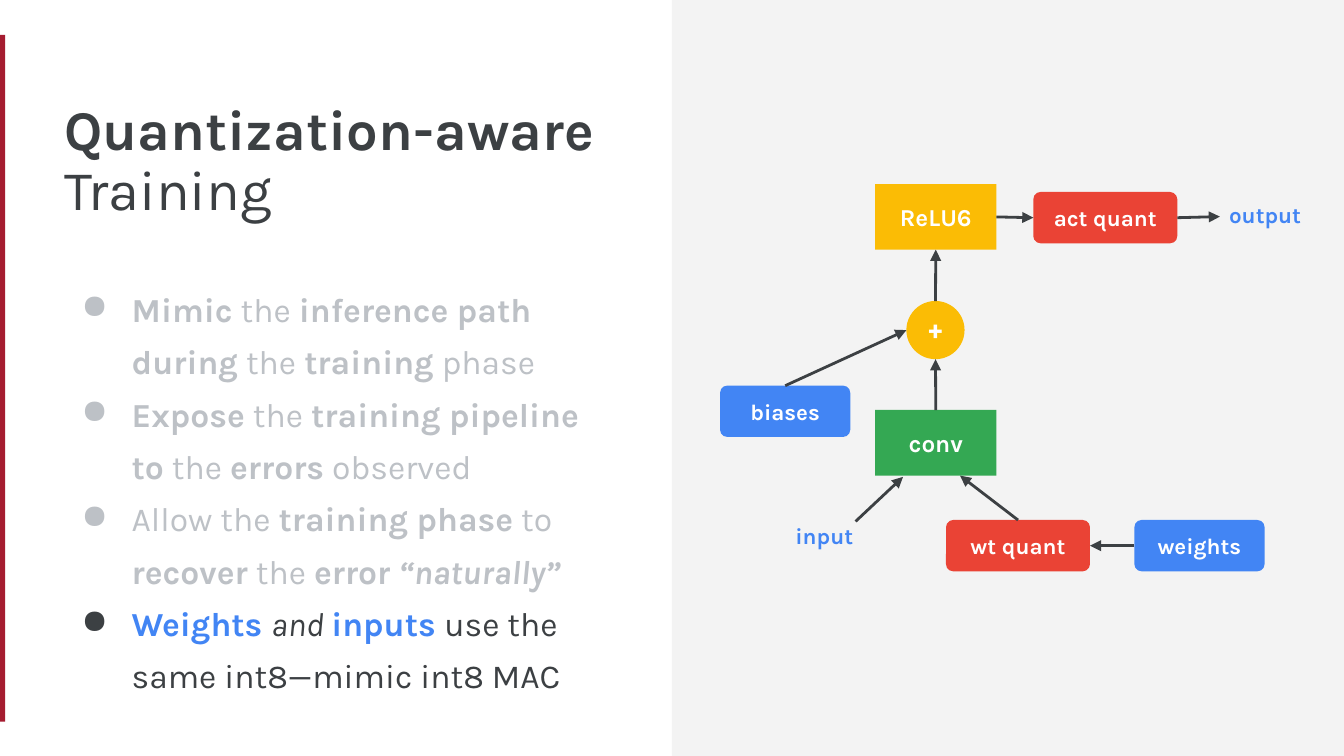
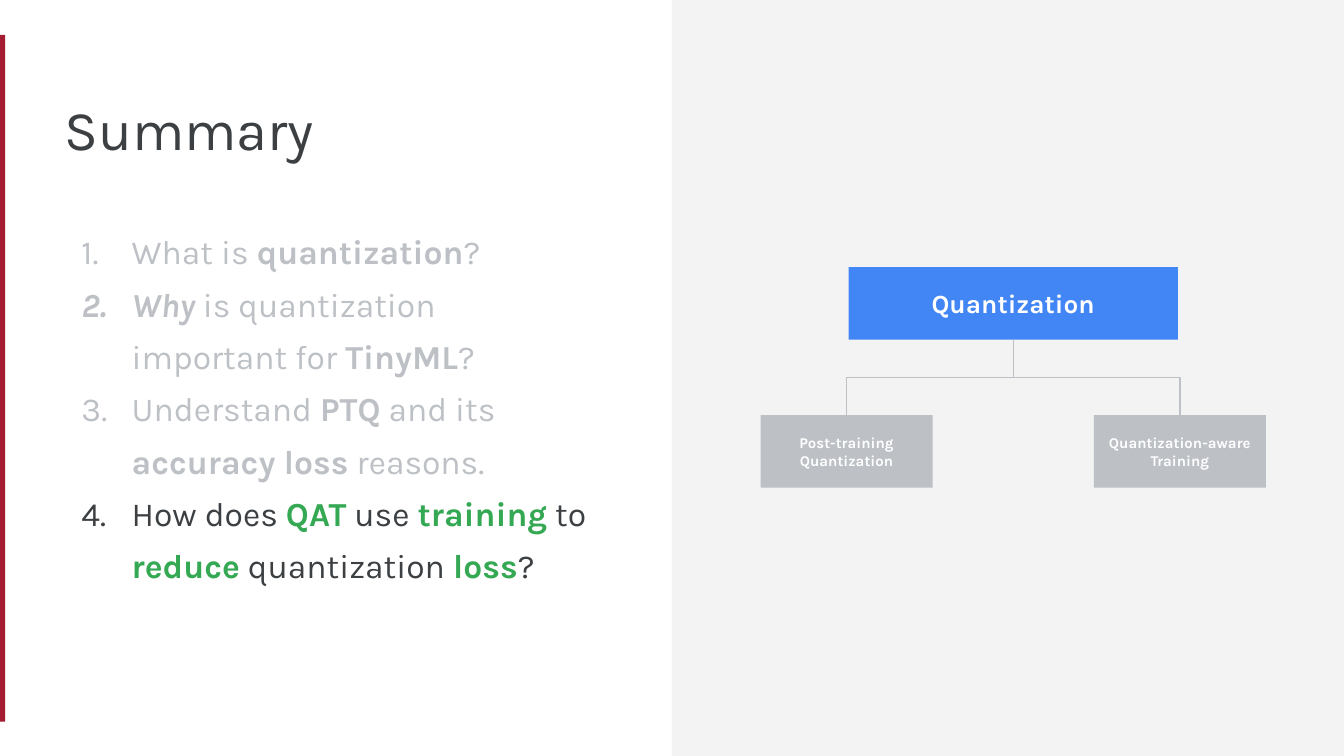
from dataclasses import dataclass

from lxml.etree import SubElement
from pptx import Presentation
from pptx.dml.color import RGBColor
from pptx.enum.shapes import MSO_CONNECTOR as Line, MSO_SHAPE as Shape
from pptx.enum.text import MSO_ANCHOR as Anchor, PP_ALIGN as Align
from pptx.oxml.ns import qn
from pptx.util import Cm, Pt


@dataclass(frozen=True)
class Theme:
    # Colours
    page: str = "F1F3F4"
    white: str = "FFFFFF"
    panel: str = "F3F3F3"
    crimson: str = "A51C30"
    ink: str = "3C4043"
    faded: str = "BDC1C6"
    blue: str = "4285F4"
    green: str = "34A853"
    yellow: str = "FBBC05"
    red: str = "EA4335"
    # Type
    font: str = "Karla"
    symbol_font: str = "Roboto"
    title: int = 30
    body: int = 18
    root: int = 14
    operation: int = 13
    tensor: int = 12
    leaf: int = 8


THEME = Theme()
BOLD = {"bold": True}
ITALIC = {"italic": True}
BLUE = {"bold": True, "color": THEME.blue}
GREEN = {"bold": True, "color": THEME.green}

# Each point is its base colour, then its runs: plain text or (text, format)
TRAINING_POINTS = [
    (THEME.faded, [("Mimic", BOLD), " the ", ("inference path during", BOLD),
                   " the ", ("training", BOLD), " phase"]),
    (THEME.faded, [("Expose", BOLD), " the ", ("training pipeline to", BOLD),
                   " the ", ("errors", BOLD), " observed"]),
    (THEME.faded, ["Allow the ", ("training phase", BOLD), " to ",
                   ("recover", BOLD), " the ", ("error ", BOLD),
                   ("“naturally”", BOLD | ITALIC)]),
    (THEME.ink, [("Weights ", BLUE), ("and ", ITALIC), ("inputs ", BLUE),
                 "use the same int8—mimic int8 MAC"]),
]
SUMMARY_POINTS = [
    (THEME.faded, ["What is ", ("quantization", BOLD), "?"]),
    (THEME.faded, [("Why", BOLD | ITALIC), " is quantization \nimportant for ",
                   ("TinyML", BOLD), "?"]),
    (THEME.faded, ["Understand ", ("PTQ", BOLD), " and its ",
                   ("accuracy loss", BOLD), " reasons."]),
    (THEME.ink, ["How does ", ("QAT", GREEN), " use ", ("training", GREEN),
                 " to ", ("reduce", GREEN), " quantization ",
                 ("loss", GREEN), "?"]),
]


def rgb(color):
    return RGBColor.from_string(color)


# Text

def set_frame(frame, anchor, wrap=True):
    settings = {"word_wrap": wrap, "vertical_anchor": anchor}
    for side in ("left", "right", "top", "bottom"):
        settings[f"margin_{side}"] = Cm(0.25)
    for key, value in settings.items():
        setattr(frame, key, value)


def write_runs(paragraph, runs, size, color, font=THEME.font):
    for item in runs:
        text, extra = (item, {}) if isinstance(item, str) else item
        values = {"name": font, "size": Pt(size), "bold": False,
                  "italic": False, "color": color} | extra
        run_color = values.pop("color")
        for index, piece in enumerate(text.split("\n")):
            if index:
                paragraph.add_line_break()
            run = paragraph.add_run()
            run.text = piece
            run.font.color.rgb = rgb(run_color)
            for key, value in values.items():
                setattr(run.font, key, value)


def add_text_box(slide, left, top, width, height, anchor=Anchor.TOP, wrap=True):
    box = slide.shapes.add_textbox(Cm(left), Cm(top), Cm(width), Cm(height))
    set_frame(box.text_frame, anchor, wrap)
    return box


def add_title(slide, runs):
    title = add_text_box(slide, 0.97, 1.68, 11.02, 2.97)
    paragraph = title.text_frame.paragraphs[0]
    paragraph.line_spacing = 0.9
    write_runs(paragraph, runs, THEME.title, THEME.ink)


def set_marker(paragraph, color, numbered):
    paragraph.line_spacing = 1.3
    properties = paragraph._p.get_or_add_pPr()
    properties.set("marL", str(Cm(1.27)))
    properties.set("indent", str(Cm(-0.95)))
    marker_color = SubElement(properties, qn("a:buClr"))
    SubElement(marker_color, qn("a:srgbClr"), val=color)
    if numbered:
        SubElement(properties, qn("a:buAutoNum"), type="arabicPeriod")
    else:
        SubElement(properties, qn("a:buChar"), char="●")


def add_points(slide, points, top, width, height, numbered=False):
    frame = add_text_box(slide, 0.97, top, width, height).text_frame
    for index, (color, runs) in enumerate(points):
        paragraph = frame.add_paragraph() if index else frame.paragraphs[0]
        set_marker(paragraph, color, numbered)
        write_runs(paragraph, runs, THEME.body, color)


# Diagram parts

def add_block(slide, kind, left, top, width, height, fill):
    block = slide.shapes.add_shape(kind, Cm(left), Cm(top), Cm(width), Cm(height))
    block.shadow.inherit = False
    block.fill.solid()
    block.fill.fore_color.rgb = rgb(fill)
    block.line.fill.background()
    return block


def write_centred(shape, text, size, color=THEME.white, font=THEME.font):
    paragraph = shape.text_frame.paragraphs[0]
    paragraph.alignment = Align.CENTER
    write_runs(paragraph, [(text, BOLD)], size, color, font)


def add_node(slide, text, kind, box, fill, size, font=THEME.font, rounding=None):
    node = add_block(slide, kind, *box, fill)
    if rounding is not None:
        node.adjustments[0] = rounding
    set_frame(node.text_frame, Anchor.MIDDLE)
    write_centred(node, text, size, font=font)
    return node


def add_operation(slide, text, top, fill):
    return add_node(slide, text, Shape.RECTANGLE, (16.54, top, 2.29, 1.24),
                    fill, THEME.operation)


def add_tensor(slide, text, left, top, width, fill):
    return add_node(slide, text, Shape.ROUNDED_RECTANGLE,
                    (left, top, width, 0.97), fill, THEME.tensor, rounding=0.14)


def add_tree_node(slide, text, centre, top, width, fill, size):
    return add_node(slide, text, Shape.ROUNDED_RECTANGLE,
                    (centre - width / 2, top, width, 1.37), fill, size, rounding=0)


def add_label(slide, text, left, top):
    label = add_text_box(slide, left, top, 1.9, 0.79, Anchor.MIDDLE, wrap=False)
    write_centred(label, text, THEME.tensor, THEME.blue)
    return label


# Connectors

def point_on(shape, across, down):
    return (int(shape.left + shape.width * across),
            int(shape.top + shape.height * down))


def add_line(slide, kind, start, end, color, weight):
    line = slide.shapes.add_connector(kind, *start, *end)
    line.line.color.rgb = rgb(color)
    line.line.width = Pt(weight)
    SubElement(line._element.spPr, qn("a:effectLst"))
    return line


def add_arrow(slide, source, source_side, target, target_side):
    arrow = add_line(slide, Line.STRAIGHT, point_on(source, *source_side),
                     point_on(target, *target_side), THEME.ink, 1.5)
    SubElement(arrow.line._get_or_add_ln(), qn("a:tailEnd"), type="triangle")


def add_branch(slide, parent, child):
    """Elbow that leaves the parent downwards: a quarter-turned connector."""
    x1, y1 = point_on(parent, 0.5, 1)
    x2, y2 = point_on(child, 0.5, 0)
    middle_x, middle_y = (x1 + x2) // 2, (y1 + y2) // 2
    reach, drop = abs(x2 - x1) // 2, (y2 - y1) // 2
    turn, side = (90, -drop) if x2 < x1 else (270, drop)
    branch = add_line(slide, Line.ELBOW, (middle_x + side, middle_y - reach),
                      (middle_x - side, middle_y + reach), THEME.faded, 0.75)
    branch._element.spPr.find(qn("a:xfrm")).set("rot", str(turn * 60000))


# Slides

def add_base_slide(deck):
    slide = deck.slides.add_slide(deck.slide_layouts[6])
    slide.background.fill.solid()
    slide.background.fill.fore_color.rgb = rgb(THEME.page)
    for left, top, width, height, fill in (
        (-0.05, 0, 12.75, 14.29, THEME.white),
        (-0.05, 0.66, 0.15, 12.98, THEME.crimson),
        (12.7, 0, 12.7, 14.29, THEME.panel),
    ):
        add_block(slide, Shape.RECTANGLE, left, top, width, height, fill)
    return slide


def build_training(deck):
    slide = add_base_slide(deck)
    add_title(slide, [("Quantization-aware", BOLD), " Training"])
    add_points(slide, TRAINING_POINTS, 4.98, 10.52, 5.69)

    # Network graph
    relu = add_operation(slide, "ReLU6", 3.48, THEME.yellow)
    conv = add_operation(slide, "conv", 7.75, THEME.green)
    plus = add_node(slide, "+", Shape.OVAL, (17.13, 5.69, 1.1, 1.1),
                    THEME.yellow, THEME.root, THEME.symbol_font)
    act_quant = add_tensor(slide, "act quant", 19.53, 3.63, 2.72, THEME.red)
    wt_quant = add_tensor(slide, "wt quant", 17.88, 9.83, 2.72, THEME.red)
    weights = add_tensor(slide, "weights", 21.44, 9.83, 2.46, THEME.blue)
    biases = add_tensor(slide, "biases", 13.61, 7.29, 2.46, THEME.blue)
    output_label = add_label(slide, "output", 22.96, 3.66)
    input_label = add_label(slide, "input", 14.63, 9.73)

    # Data flow
    left, right, top, bottom = (0, 0.5), (1, 0.5), (0.5, 0), (0.5, 1)
    for flow in (
        (plus, top, relu, bottom),
        (conv, top, plus, bottom),
        (relu, right, act_quant, left),
        (wt_quant, top, conv, (0.7, 1)),
        (weights, left, wt_quant, right),
        (biases, top, plus, left),
        (act_quant, right, output_label, (0.05, 0.55)),
        (input_label, (0.81, 0.16), conv, (0.23, 1.02)),
    ):
        add_arrow(slide, *flow)


def build_summary(deck):
    slide = add_base_slide(deck)
    add_title(slide, ["Summary"])
    add_points(slide, SUMMARY_POINTS, 3.89, 10.74, 10.4, numbered=True)

    # Method tree
    centre, spread = 19.15, 3.15
    root = add_tree_node(slide, "Quantization", centre, 5.05, 6.22,
                         THEME.blue, THEME.root)
    for text, middle in (("Post-training Quantization", centre - spread),
                         ("Quantization-aware Training", centre + spread)):
        method = add_tree_node(slide, text, middle, 7.85, 3.25,
                               THEME.faded, THEME.leaf)
        add_branch(slide, root, method)


def main():
    deck = Presentation()
    deck.slide_width, deck.slide_height = Cm(25.4), Cm(14.29)
    build_training(deck)
    build_summary(deck)
    deck.save("out.pptx")


if __name__ == "__main__":
    main()
